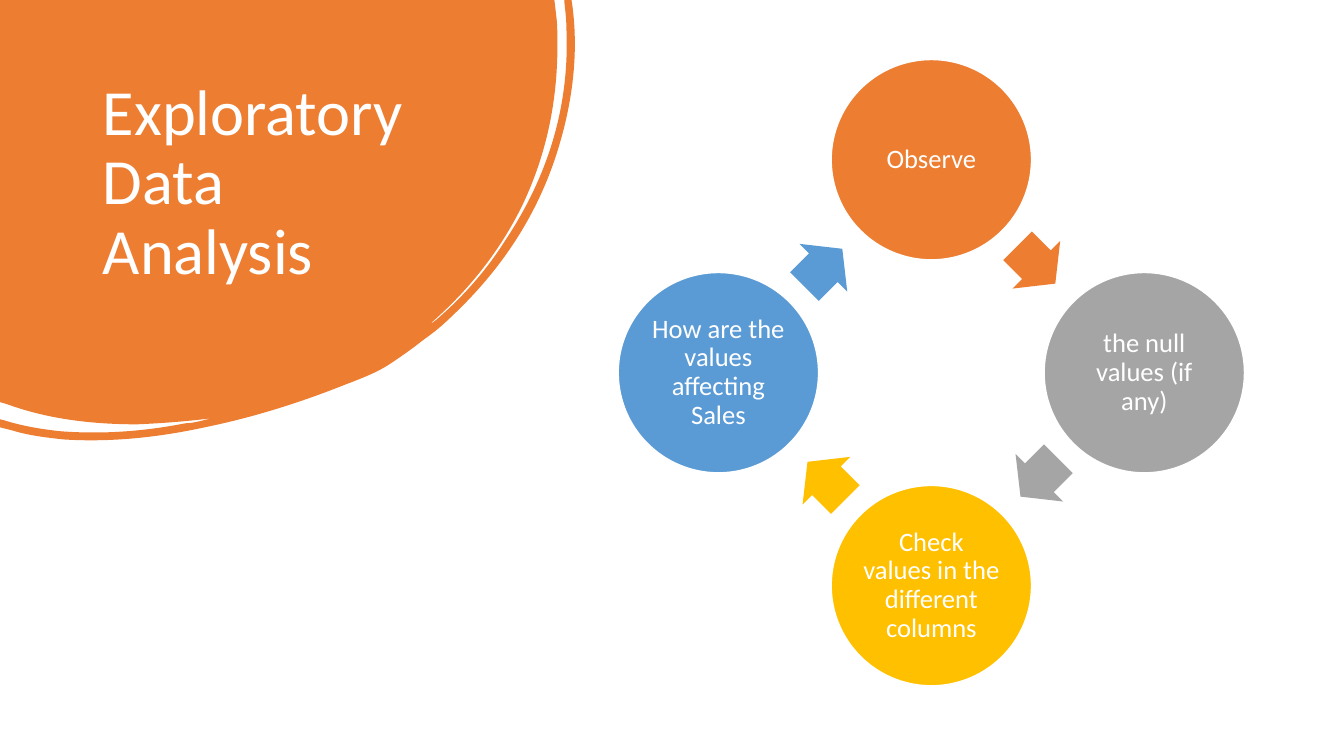
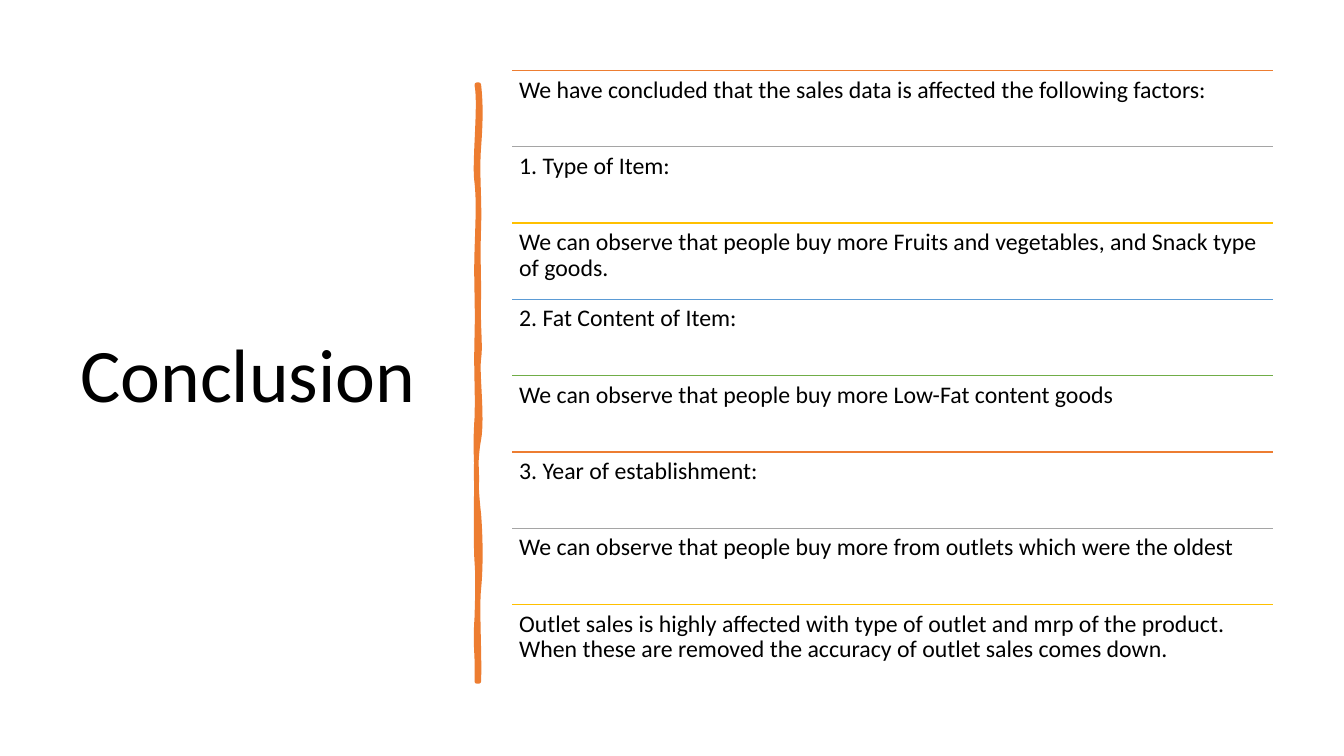
import math
from dataclasses import dataclass
from typing import NamedTuple

import lxml.etree
import pptx
import pptx.dml.color
import pptx.enum.shapes
import pptx.enum.text
import pptx.oxml.ns
import pptx.slide
import pptx.util

RGB = pptx.dml.color.RGBColor
SHAPE = pptx.enum.shapes.MSO_SHAPE
ALIGN = pptx.enum.text.PP_ALIGN
ANCHOR = pptx.enum.text.MSO_ANCHOR
qn = pptx.oxml.ns.qn

# Shared style
ORANGE = RGB(0xED, 0x7D, 0x31)
GREY = RGB(0xA5, 0xA5, 0xA5)
GOLD = RGB(0xFF, 0xC0, 0x00)
BLUE = RGB(0x5B, 0x9B, 0xD5)
GREEN = RGB(0x70, 0xAD, 0x47)
WHITE = RGB(0xFF, 0xFF, 0xFF)
BLACK = RGB(0x00, 0x00, 0x00)
ACCENTS = [ORANGE, GREY, GOLD, BLUE, GREEN]
FONT = "Calibri"
LINE_SPACING = 0.9

SLIDE_W = pptx.util.Inches(13.333)
SLIDE_H = pptx.util.Inches(7.5)


class Box(NamedTuple):
    """Left and width in percent of the slide width, top and height of its height."""
    left: float
    top: float
    width: float
    height: float


@dataclass
class TextStyle:
    size: float
    color: RGB
    align: ALIGN = ALIGN.LEFT
    anchor: ANCHOR = ANCHOR.MIDDLE
    inset: float | None = None


Segment = tuple[float, ...]  # (x, y) is a line, six numbers are a Bezier curve

# Slide 1: cycle, sizes in percent of the slide height
CYCLE_X, CYCLE_Y = 69.3, 49.3
ORBIT, CIRCLE = 28.17, 26.5
ARROW_W, ARROW_H = 7.07, 8.93
ARROW_SETBACK = 0.2
STEPS = ["Observe", "the null values (if any)",
         "Check values in the different columns",
         "How are the values affecting Sales"]

# Slide 2: rows
ROW_LEFT, ROW_TOP, ROW_W, ROW_H = 38.1, 9.33, 56.63, 10.09
FINDINGS = [
    "We have concluded that the sales data is affected the following factors:",
    "1. Type of Item:",
    "We can observe that people buy more Fruits and vegetables, and Snack type of goods.",
    "2. Fat Content of Item:",
    "We can observe that people buy more Low-Fat content goods",
    "3. Year of establishment:",
    "We can observe that people buy more from outlets which were the oldest",
    "Outlet sales is highly affected with type of outlet and mrp of the product. "
    "When these are removed the accuracy of outlet sales comes down.",
]

# Outlines in inches
BLOB: list[Segment] = [
    (0, 0), (5.5, 0), (5.52, 0.17),
    (5.53, 0.26, 5.53, 0.36, 5.53, 0.45), (5.53, 1.01, 5.42, 1.54, 5.18, 2.04),
    (4.96, 2.49, 4.65, 2.88, 4.27, 3.21), (4.29, 3.21, 4.3, 3.19, 4.32, 3.18),
    (4.59, 2.95, 4.82, 2.69, 5.01, 2.39), (5.43, 1.76, 5.65, 1.07, 5.62, 0.3),
    (5.62, 0.21, 5.61, 0.12, 5.6, 0.03), (5.6, 0), (5.67, 0), (5.68, 0.07),
    (5.74, 0.54, 5.68, 1.02, 5.53, 1.5), (5.33, 2.14, 4.97, 2.68, 4.48, 3.14),
    (4.39, 3.23, 4.29, 3.31, 4.19, 3.38), (4.09, 3.46, 3.99, 3.53, 3.87, 3.61),
    (3.75, 3.69, 3.6, 3.75, 3.44, 3.81), (2.99, 3.99, 2.52, 4.14, 2.03, 4.24),
    (1.57, 4.34, 1.1, 4.39, 0.63, 4.36), (0.45, 4.34, 0.28, 4.32, 0.12, 4.27),
    (0, 4.24), (0, 4.16), (0.04, 4.17),
    (0.23, 4.23, 0.42, 4.26, 0.61, 4.28), (1.03, 4.31, 1.43, 4.28, 1.84, 4.2),
    (1.89, 4.2, 1.93, 4.19, 1.98, 4.18), (2.02, 4.17, 2.06, 4.16, 2.1, 4.15),
    (1.86, 4.18, 1.61, 4.2, 1.36, 4.21), (0.92, 4.21, 0.48, 4.16, 0.07, 4.01),
    (0, 3.99),
]
BRUSH_BAR: list[Segment] = [
    (4.75, 0.84),
    (4.77, 1.02, 4.77, 1.19, 4.75, 1.46), (4.73, 1.73, 4.76, 1.95, 4.75, 2.26),
    (4.74, 2.57, 4.75, 2.62, 4.75, 2.94), (4.74, 3.25, 4.77, 3.42, 4.75, 3.56),
    (4.73, 3.7, 4.79, 4.14, 4.75, 4.36), (4.71, 4.57, 4.72, 4.84, 4.75, 5.1),
    (4.77, 5.36, 4.77, 5.64, 4.75, 5.84), (4.73, 6.03, 4.76, 6.5, 4.75, 6.76),
    (4.73, 6.76),
    (4.74, 6.46, 4.71, 6.44, 4.73, 6.13), (4.74, 5.83, 4.74, 5.7, 4.73, 5.57),
    (4.72, 5.44, 4.72, 4.95, 4.73, 4.77), (4.73, 4.59, 4.71, 4.45, 4.73, 4.15),
    (4.74, 3.86, 4.72, 3.73, 4.73, 3.35), (4.74, 2.98, 4.72, 2.81, 4.73, 2.5),
    (4.74, 2.18, 4.75, 2, 4.73, 1.81), (4.7, 1.63, 4.77, 1.04, 4.73, 0.84),
]


# Helpers
def across(percent: float) -> int:
    return round(SLIDE_W * percent / 100)


def down(percent: float) -> int:
    return round(SLIDE_H * percent / 100)


def frame(box: Box) -> tuple[int, int, int, int]:
    return across(box.left), down(box.top), across(box.width), down(box.height)


def set_text(sp, text: str, style: TextStyle) -> None:
    tf = sp.text_frame
    tf.text = text
    tf.word_wrap = True
    tf.auto_size = pptx.enum.text.MSO_AUTO_SIZE.NONE
    tf.vertical_anchor = style.anchor
    if style.inset is not None:
        tf.margin_left = tf.margin_right = pptx.util.Inches(style.inset)
        tf.margin_top = tf.margin_bottom = pptx.util.Inches(style.inset)
    p = tf.paragraphs[0]
    p.alignment = style.align
    p.line_spacing = LINE_SPACING
    for r in p.runs:
        r.font.name = FONT
        r.font.size = pptx.util.Pt(style.size)
        r.font.color.rgb = style.color


def paint(sp, fill: RGB, line: RGB | None = None, width: float = 1) -> None:
    sp.shadow.inherit = False
    sp.fill.solid()
    sp.fill.fore_color.rgb = fill
    if line is None:
        sp.line.fill.background()
    else:
        sp.line.color.rgb = line
        sp.line.width = pptx.util.Pt(width)


def add_titled_slide(prs, title: str, box: Box, style: TextStyle) -> pptx.slide.Slide:
    s = prs.slides.add_slide(prs.slide_layouts[5])
    sp = s.shapes.title
    sp.left, sp.top, sp.width, sp.height = frame(box)
    set_text(sp, title, style)
    return s


def add_outline(s: pptx.slide.Slide, outline: list[Segment]):
    """Draw a closed outline of lines and Bezier curves behind the title."""
    emu = [tuple(int(pptx.util.Inches(v)) for v in seg) for seg in outline]
    start, *ends = [seg[-2:] for seg in emu]
    builder = s.shapes.build_freeform(*start, scale=1.0)
    builder.add_line_segments(ends, close=True)
    sp = builder.convert_to_shape()

    # Bend the straight segments that have control points
    for line, seg in zip(list(sp.element.iter(qn("a:lnTo"))), emu[1:]):
        if len(seg) == 6:
            curve = lxml.etree.Element(qn("a:cubicBezTo"))
            for x, y in zip(seg[::2], seg[1::2]):
                lxml.etree.SubElement(curve, qn("a:pt"),
                                      x=str(x - sp.left), y=str(y - sp.top))
            line.getparent().replace(line, curve)
    s.shapes.title.element.addprevious(sp.element)
    return sp


def add_centred(s: pptx.slide.Slide, kind: SHAPE, dx: float, dy: float,
                width: float, height: float):
    """Place a shape by its offset from the middle of the cycle."""
    w, h = down(width), down(height)
    x, y = across(CYCLE_X) + down(dx), down(CYCLE_Y + dy)
    return s.shapes.add_shape(kind, x - w // 2, y - h // 2, w, h)


# Slides
def add_exploration(prs) -> None:
    s = add_titled_slide(prs, "Exploratory Data Analysis", Box(6.9, 9.87, 26.4, 29.6),
                         TextStyle(46, WHITE, anchor=ANCHOR.TOP))
    paint(add_outline(s, BLOB), ORANGE)

    label = TextStyle(19, WHITE, ALIGN.CENTER, inset=0.02)
    for i, (text, color) in enumerate(zip(STEPS, ACCENTS)):
        angle = math.radians(90 * i)
        dx, dy = math.sin(angle), -math.cos(angle)
        circle = add_centred(s, SHAPE.OVAL, ORBIT * dx, ORBIT * dy, CIRCLE, CIRCLE)
        paint(circle, color, WHITE)
        set_text(circle, text, label)

        # Arrow halfway to the next circle, a quarter turn on
        near, far = ORBIT / 2 - ARROW_SETBACK, ORBIT / 2 + ARROW_SETBACK
        arrow = add_centred(s, SHAPE.RIGHT_ARROW, far * dx - near * dy,
                            far * dy + near * dx, ARROW_W, ARROW_H)
        arrow.rotation = 45 + 90 * i
        arrow.adjustments[0], arrow.adjustments[1] = 0.6, 0.5
        paint(arrow, color)


def add_conclusion(prs) -> None:
    s = add_titled_slide(prs, "Conclusion",
                         Box(5.22, 9.33, 28.05, 81.47), TextStyle(54, BLACK))
    paint(add_outline(s, BRUSH_BAR), ORANGE, ORANGE, 3.25)

    body = TextStyle(17, BLACK, anchor=ANCHOR.TOP, inset=0.07)
    for i, text in enumerate(FINDINGS):
        x, y, w, h = frame(Box(ROW_LEFT, ROW_TOP + i * ROW_H, ROW_W, ROW_H))
        rule = s.shapes.add_connector(pptx.enum.shapes.MSO_CONNECTOR.STRAIGHT,
                                      x, y, x + w, y)
        rule.line.color.rgb = ACCENTS[i % len(ACCENTS)]
        rule.line.width = pptx.util.Pt(1)
        lxml.etree.SubElement(rule.element.spPr, qn("a:effectLst"))
        set_text(s.shapes.add_textbox(x, y, w, h), text, body)


def main() -> None:
    prs = pptx.Presentation()
    prs.slide_width, prs.slide_height = SLIDE_W, SLIDE_H
    add_exploration(prs)
    add_conclusion(prs)
    prs.save("out.pptx")


if __name__ == "__main__":
    main()
